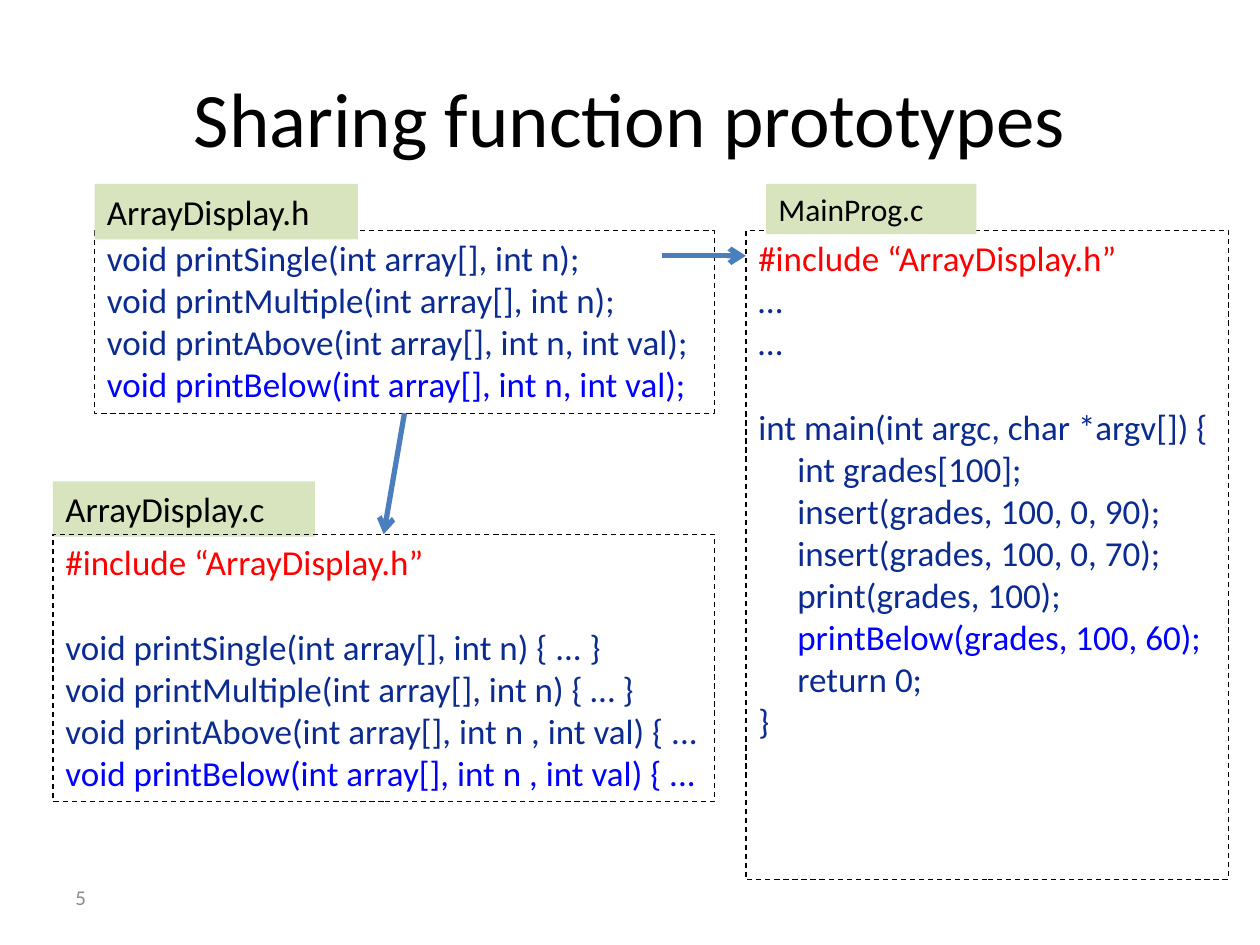
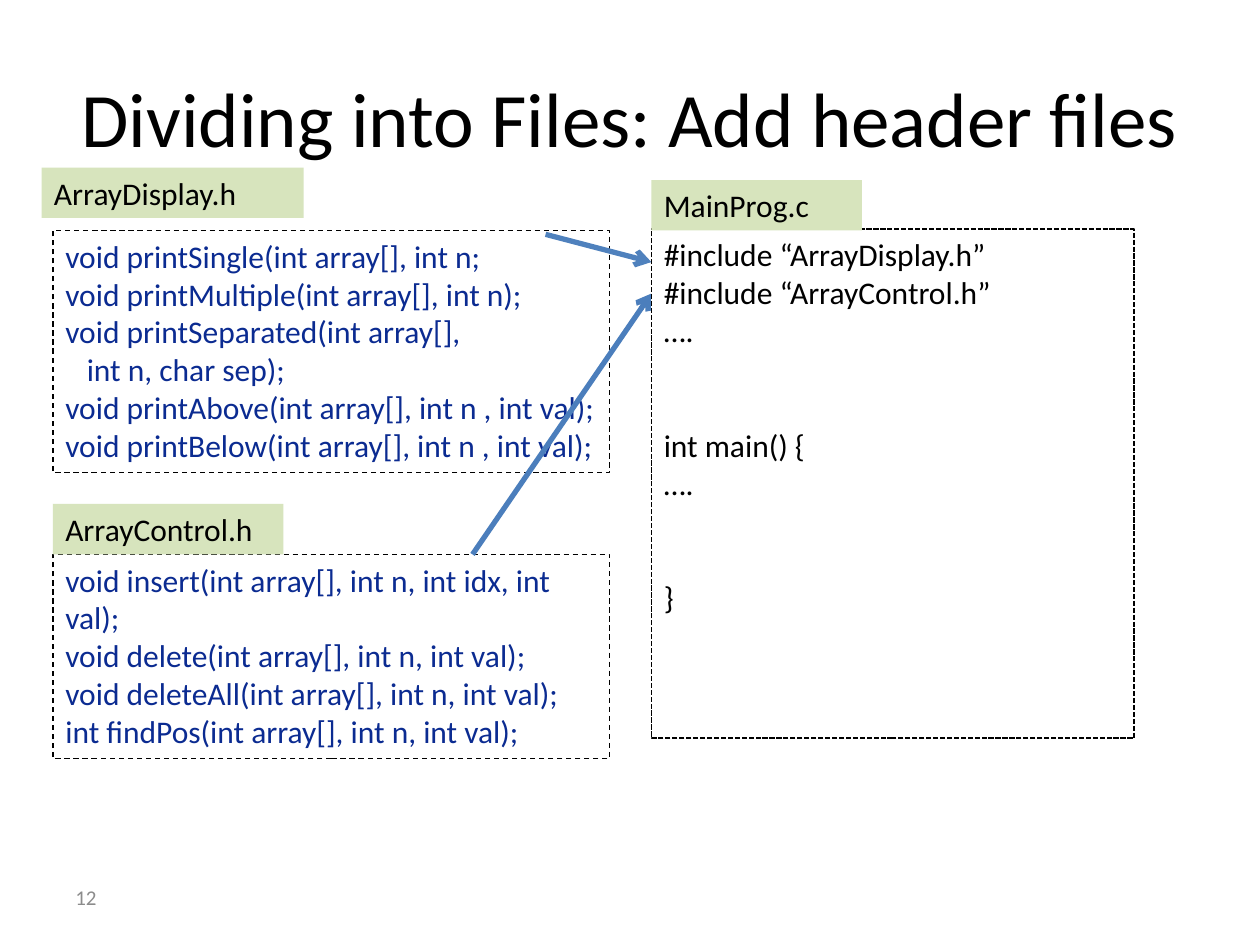
import collections

import pptx
import pptx.dml.color
import pptx.enum.dml
import pptx.enum.shapes
import pptx.enum.text
import pptx.oxml
import pptx.oxml.ns
import pptx.util

Inches = pptx.util.Inches
Pt = pptx.util.Pt
MSO_ANCHOR = pptx.enum.text.MSO_ANCHOR
PP_ALIGN = pptx.enum.text.PP_ALIGN
DASH = pptx.enum.dml.MSO_LINE

FONT = "Calibri"
BLACK = "000000"
WHITE = "FFFFFF"
GRAY = "8C8C8C"
NAVY = "0B2B91"
BLUE = "0000FF"
RED = "FF0000"
GREEN = "D7E4BD"
ARROW = "4B7EBC"
LINE_HEIGHT = 1.22

Line = collections.namedtuple("Line", "text color indent gap", defaults=(NAVY, 0, 0))


def rgb(value):
    return pptx.dml.color.RGBColor.from_string(value)


def add_run(p, text, size, color):
    r = p.add_run()
    r.text = text
    r.font.name = FONT
    r.font.size = Pt(size)
    r.font.color.rgb = rgb(color)


def write_lines(tf, lines, size, align=PP_ALIGN.LEFT, anchor=MSO_ANCHOR.TOP):
    tf.word_wrap = True
    tf.auto_size = pptx.enum.text.MSO_AUTO_SIZE.NONE
    tf.vertical_anchor = anchor
    for i, line in enumerate(lines):
        p = tf.add_paragraph() if i else tf.paragraphs[0]
        p.alignment = align
        if line.gap:
            p.space_before = Pt(round(line.gap * size * LINE_HEIGHT, 1))
        if line.indent:
            p._p.get_or_add_pPr().set("marL", str(Inches(line.indent)))
        add_run(p, line.text, size, line.color)


def add_slide(prs, title, number):
    s = prs.slides.add_slide(prs.slide_layouts[5])
    sp = s.shapes.title
    sp.left, sp.top, sp.width, sp.height = map(Inches, (0.5, 0.3, 9, 1.25))
    write_lines(sp.text_frame, [Line(title, BLACK)], 44, PP_ALIGN.CENTER, MSO_ANCHOR.MIDDLE)
    sp = s.shapes.add_textbox(*map(Inches, (0.5, 6.92, 2.33, 0.4)))
    write_lines(sp.text_frame, [Line(number, GRAY)], 12, anchor=MSO_ANCHOR.MIDDLE)
    return s


def add_box(s, at, lines, size, fill=None):
    sp = s.shapes.add_shape(pptx.enum.shapes.MSO_SHAPE.RECTANGLE, *map(Inches, at))
    sp.shadow.inherit = False
    if fill:
        sp.fill.solid()
        sp.fill.fore_color.rgb = rgb(fill)
    else:
        sp.fill.background()
    write_lines(sp.text_frame, lines, size)
    return sp


def add_code(s, at, lines, size, fill=None, dash=DASH.DASH, weight=0.75):
    sp = add_box(s, at, lines, size, fill)
    sp.line.color.rgb = rgb(BLACK)
    sp.line.width = Pt(weight)
    sp.line.dash_style = dash
    return sp


def add_label(s, at, name, size=18):
    add_box(s, at, [Line(name, BLACK)], size, GREEN).line.fill.background()


def add_arrow(s, start, end, color=ARROW):
    c = s.shapes.add_connector(
        pptx.enum.shapes.MSO_CONNECTOR.STRAIGHT, *map(Inches, start + end))
    c.line.color.rgb = rgb(color)
    c.line.width = Pt(3)
    ln = c.line._get_or_add_ln()
    tail = pptx.oxml.parse_xml(
        f'<a:tailEnd {pptx.oxml.ns.nsdecls("a")} type="arrow"/>')
    ln.append(tail)
    c._element.spPr.append(
        pptx.oxml.parse_xml(f'<a:effectLst {pptx.oxml.ns.nsdecls("a")}/>'))
    return c


def add_prototypes_slide(prs):
    s = add_slide(prs, "Sharing function prototypes", "5")
    header = add_code(s, (0.75, 1.83, 4.92, 1.45), [
        Line("void printSingle(int array[], int n);"),
        Line("void printMultiple(int array[], int n);"),
        Line("void printAbove(int array[], int n, int val);"),
        Line("void printBelow(int array[], int n, int val);", BLUE),
    ], 20)
    body = [
        Line("int grades[100];", indent=0.31),
        Line("insert(grades, 100, 0, 90);", indent=0.31),
        Line("insert(grades, 100, 0, 70);", indent=0.31),
        Line("print(grades, 100);", indent=0.31),
        Line("printBelow(grades, 100, 60);", BLUE, 0.31),
        Line("return 0;", indent=0.31),
    ]
    add_code(s, (5.92, 1.83, 3.83, 5.15), [
        Line("#include “ArrayDisplay.h”", RED),
        Line("…"),
        Line("…"),
        Line("int main(int argc, char *argv[]) {", gap=1),
        *body,
        Line("}"),
    ], 20)
    add_label(s, (0.75, 1.46, 2.09, 0.44), "ArrayDisplay.h", 20)
    add_label(s, (0.42, 3.82, 2.08, 0.44), "ArrayDisplay.c", 20)
    add_label(s, (6.08, 1.46, 1.67, 0.4), "MainProg.c")
    source = add_code(s, (0.42, 4.24, 5.25, 2.12), [
        Line("#include “ArrayDisplay.h”", RED),
        Line("void printSingle(int array[], int n) { ... }", gap=1),
        Line("void printMultiple(int array[], int n) { … }"),
        Line("void printAbove(int array[], int n , int val) { ..."),
        Line("void printBelow(int array[], int n , int val) { ...", BLUE),
    ], 20)
    c = add_arrow(s, (3.21, 3.28), (3.04, 4.24))
    c.begin_connect(header, 2)
    c.end_connect(source, 0)
    add_arrow(s, (5.25, 2.03), (5.92, 2.03))


def add_headers_slide(prs):
    s = add_slide(prs, "Dividing into Files: Add header files", "12")
    add_code(s, (0.42, 1.83, 4.42, 1.92), [
        Line("void printSingle(int array[], int n;"),
        Line("void printMultiple(int array[], int n);"),
        Line("void printSeparated(int array[],"),
        Line("int n, char sep);", indent=0.17),
        Line("void printAbove(int array[], int n , int val);"),
        Line("void printBelow(int array[], int n , int val);"),
    ], 18)
    add_code(s, (0.42, 4.4, 4.42, 1.62), [
        Line("void insert(int array[], int n, int idx, int val);"),
        Line("void delete(int array[], int n, int val);"),
        Line("void deleteAll(int array[], int n, int val);"),
        Line("int findPos(int array[], int n, int val);"),
    ], 18)
    add_label(s, (0.33, 1.33, 2.08, 0.4), "ArrayDisplay.h")
    add_label(s, (0.42, 4, 1.83, 0.4), "ArrayControl.h")
    add_arrow(s, (4.33, 1.86), (5.17, 2.08), "4F81BD")
    add_arrow(s, (3.75, 4.4), (5.17, 2.33))
    add_code(s, (5.17, 1.82, 3.83, 4.04), [
        Line("#include “ArrayDisplay.h”", BLACK),
        Line("#include “ArrayControl.h”", BLACK),
        Line("….", BLACK),
        Line("int main() {", BLACK, gap=2),
        Line("….", BLACK),
        Line("}", BLACK, gap=2),
    ], 18, WHITE, DASH.SQUARE_DOT, 1)
    add_label(s, (5.17, 1.43, 1.67, 0.4), "MainProg.c")


def main():
    prs = pptx.Presentation()
    prs.slide_width = Inches(10)
    prs.slide_height = Inches(7.5)
    add_prototypes_slide(prs)
    add_headers_slide(prs)
    prs.save("out.pptx")


if __name__ == "__main__":
    main()
